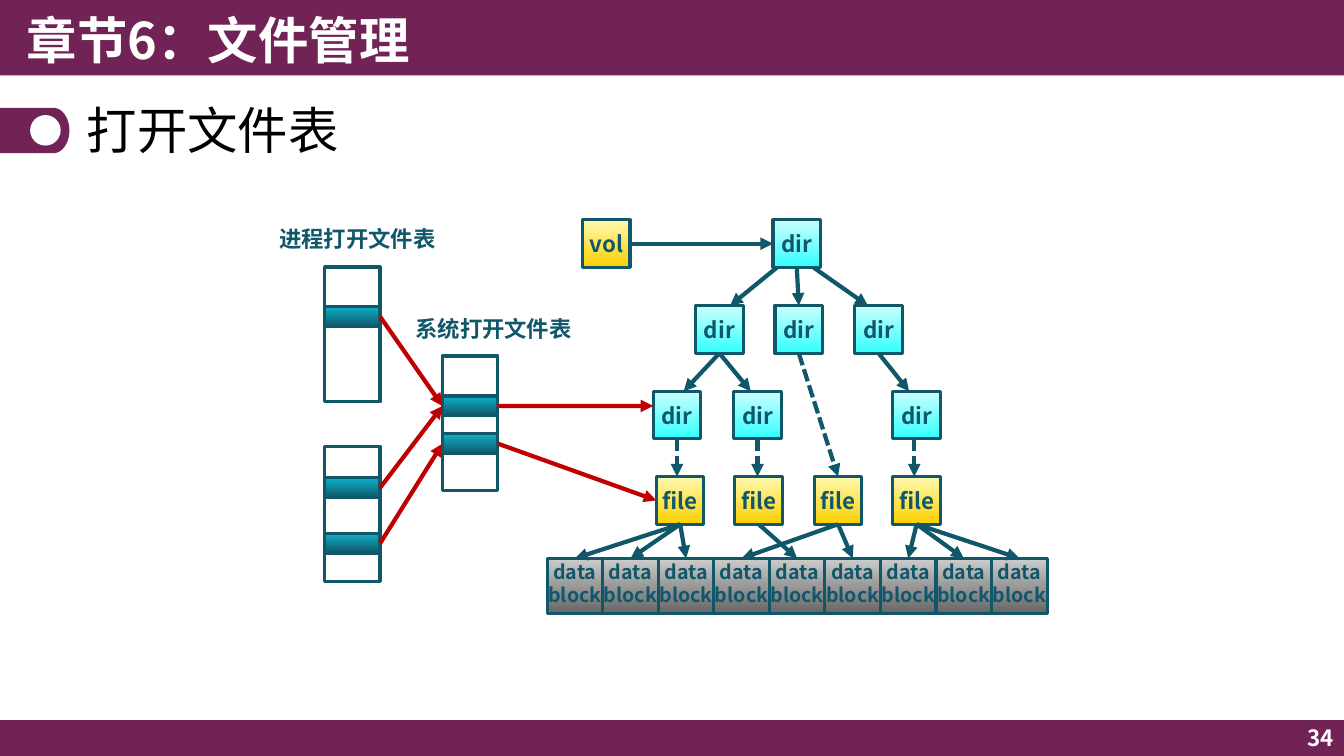
from math import cos, pi, sin

from lxml.etree import SubElement
from pptx import Presentation
from pptx.dml.color import RGBColor
from pptx.enum.dml import MSO_LINE
from pptx.enum.shapes import MSO_CONNECTOR, MSO_SHAPE
from pptx.enum.text import MSO_ANCHOR, MSO_AUTO_SIZE, PP_ALIGN
from pptx.oxml.ns import qn
from pptx.util import Cm, Pt

FONT = "Noto Sans CJK SC"
COLORS = {"plum": "712355", "white": "FFFFFF", "black": "000000",
          "teal": "11576A", "red": "C00000"}
GRADIENTS = {"yellow": ("FFF9B1", "FDD000"), "cyan": ("CCFFFF", "33FFFF"),
             "gray": ("CCCCCC", "666666"), "entry": ("0EB1C8", "11576A")}

CHAPTER, TITLE, PAGE = "章节6：文件管理", "打开文件表", "34"

# Tree rows: top, gradient, text, {node: left}; lengths in cm
NODE_SIZE = 1.2
NODE_ROWS = [
    (5.54, "yellow", "vol", {"vol": 14.68}),
    (5.54, "cyan", "dir", {"root": 19.48}),
    (7.7, "cyan", "dir", {"dir1": 17.53, "dir2": 19.53, "dir3": 21.54}),
    (9.86, "cyan", "dir", {"dir11": 16.46, "dir12": 18.49, "dir31": 22.5}),
    (12.01, "yellow", "file",
     {"file1": 16.54, "file2": 18.52, "file3": 20.52, "file4": 22.5}),
]
BLOCK_COUNT, BLOCK_LEFT, BLOCK_TOP, BLOCK_SIZE = 9, 13.79, 14.07, 1.4

# Open-file tables: left, top, {entry: top}
TABLE_WIDTH, TABLE_HEIGHT, ENTRY_HEIGHT = 1.4, 3.4, 0.5
TABLES = [
    (11.15, 8.97, {"system1": 9.98, "system2": 10.93}),
    (8.18, 6.73, {"process1": 7.73}),
    (8.18, 11.25, {"process2": 12.04, "process3": 13.44}),
]
TABLE_LABELS = [("系统打开文件表", 10.19, 7.82), ("进程打开文件表", 6.76, 5.54)]

# Downward arrows: source, target, shift of start, shift of end, dashed
TREE_LINKS = [
    ("root", "dir1", -0.5, 0.27, False), ("root", "dir2", 0, 0, False),
    ("root", "dir3", 0.42, -0.27, False),
    ("dir1", "dir11", 0, 0.17, False), ("dir1", "dir12", 0, -0.17, False),
    ("dir3", "dir31", 0, -0.19, False), ("dir2", "file3", 0, 0, True),
    ("dir11", "file1", 0, -0.08, True), ("dir12", "file2", 0, -0.03, True),
    ("dir31", "file4", -0.06, -0.06, True),
]
FILE_BLOCKS = {"file1": (0, 1, 2), "file2": (4,), "file3": (3, 5), "file4": (6, 7, 8)}

# Sideways arrows: source, target, color, vertical shift of end
SIDE_LINKS = [
    ("vol", "root", "teal", 0),
    ("system1", "dir11", "red", -0.23), ("system2", "file1", "red", 0),
    ("process1", "system1", "red", 0), ("process2", "system1", "red", 0),
    ("process3", "system2", "red", 0),
]

presentation = Presentation()
presentation.slide_width, presentation.slide_height = Cm(33.87), Cm(19.05)
slide = presentation.slides.add_slide(presentation.slide_layouts[5])
shapes = slide.shapes
boxes = {}


def rgb(name):
    return RGBColor.from_string(COLORS[name])


def write(shape, text, size, color="teal", bold=True, align=PP_ALIGN.CENTER,
          **frame_values):
    frame = shape.text_frame
    frame.text = text
    values = {"auto_size": MSO_AUTO_SIZE.NONE, "word_wrap": False,
              "vertical_anchor": MSO_ANCHOR.MIDDLE, **frame_values}
    for name, value in values.items():
        setattr(frame, name, value)
    for paragraph in frame.paragraphs:
        paragraph.alignment = align
        for run in paragraph.runs:
            run.font.color.rgb = rgb(color)
            for name, value in {"size": Pt(size), "bold": bold, "name": FONT}.items():
                setattr(run.font, name, value)
            SubElement(run.font._element, qn("a:ea"), typeface=FONT)


def add_text(text, left, top, width, height, size, **values):
    box = shapes.add_textbox(Cm(left), Cm(top), Cm(width), Cm(height))
    write(box, text, size, **values)


def paint(shape, color):
    """Fill a shape with one flat color, without outline or shadow."""
    shape.shadow.inherit = False
    shape.fill.solid()
    shape.fill.fore_color.rgb = rgb(color)
    shape.line.fill.background()


def add_flat(kind, left, top, width, height, color):
    paint(shapes.add_shape(kind, Cm(left), Cm(top), Cm(width), Cm(height)), color)


def add_box(left, top, width, height, gradient=None, name=None):
    """Add an outlined box; a name makes it available to arrows."""
    box = shapes.add_shape(MSO_SHAPE.RECTANGLE, Cm(left), Cm(top), Cm(width), Cm(height))
    box.shadow.inherit = False
    box.line.color.rgb = rgb("teal")
    box.line.width = Pt(2.25)
    if gradient:
        box.fill.gradient()
        box.fill.gradient_angle = 270
        for stop, color in zip(box.fill.gradient_stops, GRADIENTS[gradient]):
            stop.color.rgb = RGBColor.from_string(color)
    else:
        box.fill.background()
    if name is not None:
        boxes[name] = (left, top, width, height)
    return box


def add_arrow(start, end, color="teal", dashed=False):
    arrow = shapes.add_connector(MSO_CONNECTOR.STRAIGHT, *map(Cm, start + end))
    arrow.line.color.rgb = rgb(color)
    arrow.line.width = Pt(3)
    if dashed:
        arrow.line.dash_style = MSO_LINE.SQUARE_DOT
    properties = arrow._element.spPr
    SubElement(properties.find(qn("a:ln")), qn("a:tailEnd"), type="triangle")
    SubElement(properties, qn("a:effectLst"))


def arrow_down(source, target, start_shift=0, end_shift=0, dashed=False):
    left, top, width, height = boxes[source]
    end_left, end_top, end_width, _ = boxes[target]
    add_arrow((left + width / 2 + start_shift, top + height),
              (end_left + end_width / 2 + end_shift, end_top), dashed=dashed)


def arrow_right(source, target, color, end_shift):
    left, top, width, height = boxes[source]
    end_left, end_top, _, end_height = boxes[target]
    add_arrow((left + width, top + height / 2),
              (end_left, end_top + end_height / 2 + end_shift), color)


# Frame of the slide
add_flat(MSO_SHAPE.RECTANGLE, 0, 18.15, 33.87, 0.9, "plum")
add_flat(MSO_SHAPE.RECTANGLE, 0, 0, 33.87, 1.9, "plum")
TAB_TOP, TAB_RADIUS, TAB_STRAIGHT, TAB_CAP = 2.72, 0.57, 1.35, 0.4
angles = [pi * step / 24 - pi / 2 for step in range(25)]
tab = shapes.build_freeform(0, Cm(TAB_TOP))
tab.add_line_segments(
    [(Cm(TAB_STRAIGHT + TAB_CAP * cos(angle)),
      Cm(TAB_TOP + TAB_RADIUS * (1 + sin(angle)))) for angle in angles]
    + [(0, Cm(TAB_TOP + 2 * TAB_RADIUS))])
paint(tab.convert_to_shape(), "plum")
add_flat(MSO_SHAPE.OVAL, 0.76, 2.9, 0.77, 0.77, "white")
add_text(CHAPTER, 0.43, 0, 16.94, 1.96, 36, color="white",
         align=PP_ALIGN.LEFT, word_wrap=True)
add_text(PAGE, 26.24, 18.14, 7.62, 0.91, 16, color="white",
         align=PP_ALIGN.RIGHT, word_wrap=True)
title = shapes.title
title.left, title.top, title.width, title.height = map(Cm, (1.93, 2.41, 30, 1.88))
write(title, TITLE, 36, color="black", bold=False, align=PP_ALIGN.LEFT, word_wrap=True)
title.text_frame.paragraphs[0].line_spacing = 0.9

# Directory tree and data blocks
no_margins = {"margin_left": 0, "margin_right": 0, "margin_top": 0, "margin_bottom": 0}
for top, gradient, text, nodes in NODE_ROWS:
    for name, left in nodes.items():
        node = add_box(left, top, NODE_SIZE, NODE_SIZE, gradient, name)
        write(node, text, 16, **no_margins)
for index in range(BLOCK_COUNT):
    block = add_box(BLOCK_LEFT + index * BLOCK_SIZE, BLOCK_TOP,
                    BLOCK_SIZE, BLOCK_SIZE, "gray", index)
    write(block, "data\nblock", 14, **{**no_margins, "margin_bottom": Cm(0.15)})

# Open-file tables
for text, left, top in TABLE_LABELS:
    add_text(text, left, top, 4.5, 0.94, 16)
for left, top, entries in TABLES:
    add_box(left, top, TABLE_WIDTH, TABLE_HEIGHT)
    for name, entry_top in entries.items():
        add_box(left, entry_top, TABLE_WIDTH, ENTRY_HEIGHT, "entry", name)

# Arrows
for link in TREE_LINKS:
    arrow_down(*link)
for file_name, block_indexes in FILE_BLOCKS.items():
    for index in block_indexes:
        arrow_down(file_name, index)
for link in SIDE_LINKS:
    arrow_right(*link)

presentation.save("out.pptx")
